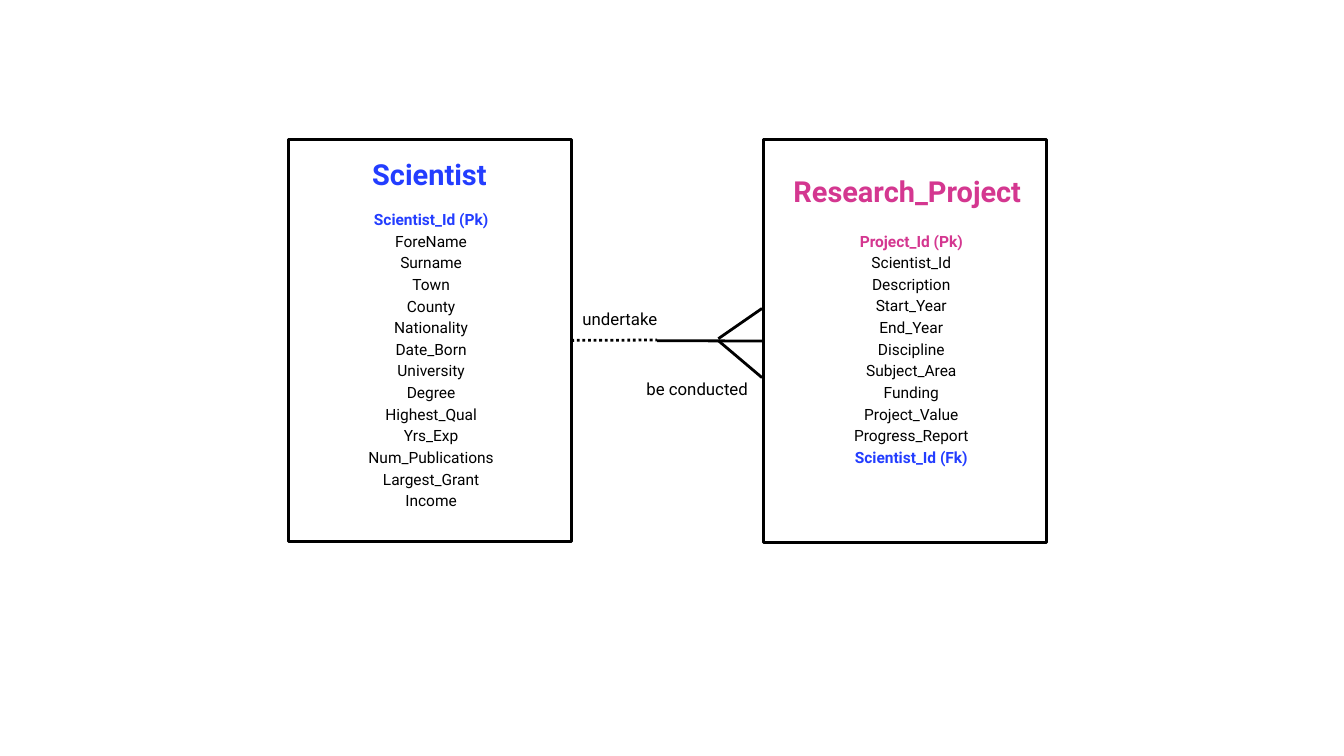
import pptx
import pptx.dml.color
import pptx.enum.dml
import pptx.enum.shapes
import pptx.enum.text
import pptx.util
from lxml import etree

Inches = pptx.util.Inches
Pt = pptx.util.Pt

COLORS = {"ink": "000000", "paper": "FFFFFF", "scientist": "233DFF", "project": "D43790"}

SCIENTIST_FIELDS = [
    "Scientist_Id (Pk)", "ForeName", "Surname", "Town", "County", "Nationality", "Date_Born",
    "University", "Degree", "Highest_Qual", "Yrs_Exp", "Num_Publications", "Largest_Grant", "Income",
]
PROJECT_FIELDS = [
    "Project_Id (Pk)", "Scientist_Id", "Description", "Start_Year", "End_Year", "Discipline",
    "Subject_Area", "Funding", "Project_Value", "Progress_Report", "Scientist_Id (Fk)",
]


class DiagramSlide:
    """Draws the parts of an entity relationship diagram on one slide."""

    font = "Roboto"
    line_width = Pt(3)

    def __init__(self, slide):
        self.slide = slide

    def color(self, name):
        return pptx.dml.color.RGBColor.from_string(COLORS[name])

    def entity_box(self, left, top, width, height):
        shape = self.slide.shapes.add_shape(
            pptx.enum.shapes.MSO_SHAPE.RECTANGLE,
            Inches(left), Inches(top), Inches(width), Inches(height))
        shape.shadow.inherit = False
        shape.fill.solid()
        shape.fill.fore_color.rgb = self.color("paper")
        shape.line.color.rgb = self.color("ink")
        shape.line.width = self.line_width
        return shape

    def text(self, lines, left, top, width, height, size, spacing, highlights=None):
        highlights = highlights or {}
        box = self.slide.shapes.add_textbox(Inches(left), Inches(top), Inches(width), Inches(height))
        frame = box.text_frame
        frame.margin_left = frame.margin_right = frame.margin_top = frame.margin_bottom = 0
        frame.word_wrap = True
        frame.auto_size = pptx.enum.text.MSO_AUTO_SIZE.SHAPE_TO_FIT_TEXT
        frame.text = "\n".join(lines)
        for paragraph in frame.paragraphs:
            paragraph.alignment = pptx.enum.text.PP_ALIGN.CENTER
            paragraph.line_spacing = Pt(spacing)
            for run in paragraph.runs:
                run.font.name = self.font
                run.font.size = Pt(size)
                run.font.bold = run.text in highlights
                run.font.color.rgb = self.color(highlights.get(run.text, "ink"))

    def title(self, name, left, top, width, color):
        self.text([name], left, top, width, 0.57, 31, 43.4, {name: color})

    def fields(self, names, left, top, width, highlights):
        self.text(names, left, top, width, len(names) * 23.2 / 72, 16.6, 23.2, highlights)

    def label(self, words, left, top, width):
        self.text([words], left, top, width, 0.32, 18, 25.2)

    def line(self, start, end, dotted=False):
        connector = self.slide.shapes.add_connector(
            pptx.enum.shapes.MSO_CONNECTOR.STRAIGHT, *map(Inches, start + end))
        connector.line.color.rgb = self.color("ink")
        connector.line.width = self.line_width
        if dotted:
            connector.line.dash_style = pptx.enum.dml.MSO_LINE.ROUND_DOT
        properties = connector._element.spPr
        etree.SubElement(properties, pptx.oxml.ns.qn("a:effectLst"))
        return connector


def main():
    presentation = pptx.Presentation()
    presentation.slide_width = Inches(20)
    presentation.slide_height = Inches(11.25)
    diagram = DiagramSlide(presentation.slides.add_slide(presentation.slide_layouts[6]))

    scientist = diagram.entity_box(4.29, 2.07, 4.21, 5.99)
    project = diagram.entity_box(11.36, 2.08, 4.21, 5.99)

    optional_half = diagram.line((8.5, 5.06), (9.78, 5.06), dotted=True)
    optional_half.begin_connect(scientist, 3)
    mandatory_half = diagram.line((9.78, 5.07), (11.36, 5.07))
    mandatory_half.end_connect(project, 1)
    diagram.line((10.69, 5.07), (11.34, 5.62))
    diagram.line((10.69, 5.04), (11.34, 4.59))

    diagram.title("Scientist", 5.33, 2.24, 2.12, "scientist")
    diagram.title("Research_Project", 11.44, 2.49, 4.12, "project")
    diagram.label("undertake", 8.5, 4.55, 1.45)
    diagram.label("be conducted", 9.46, 5.59, 1.83)
    diagram.fields(SCIENTIST_FIELDS, 5.41, 3.08, 2.01, {"Scientist_Id (Pk)": "scientist"})
    diagram.fields(PROJECT_FIELDS, 12.64, 3.4, 1.84,
                   {"Project_Id (Pk)": "project", "Scientist_Id (Fk)": "scientist"})

    presentation.save("out.pptx")


if __name__ == "__main__":
    main()
